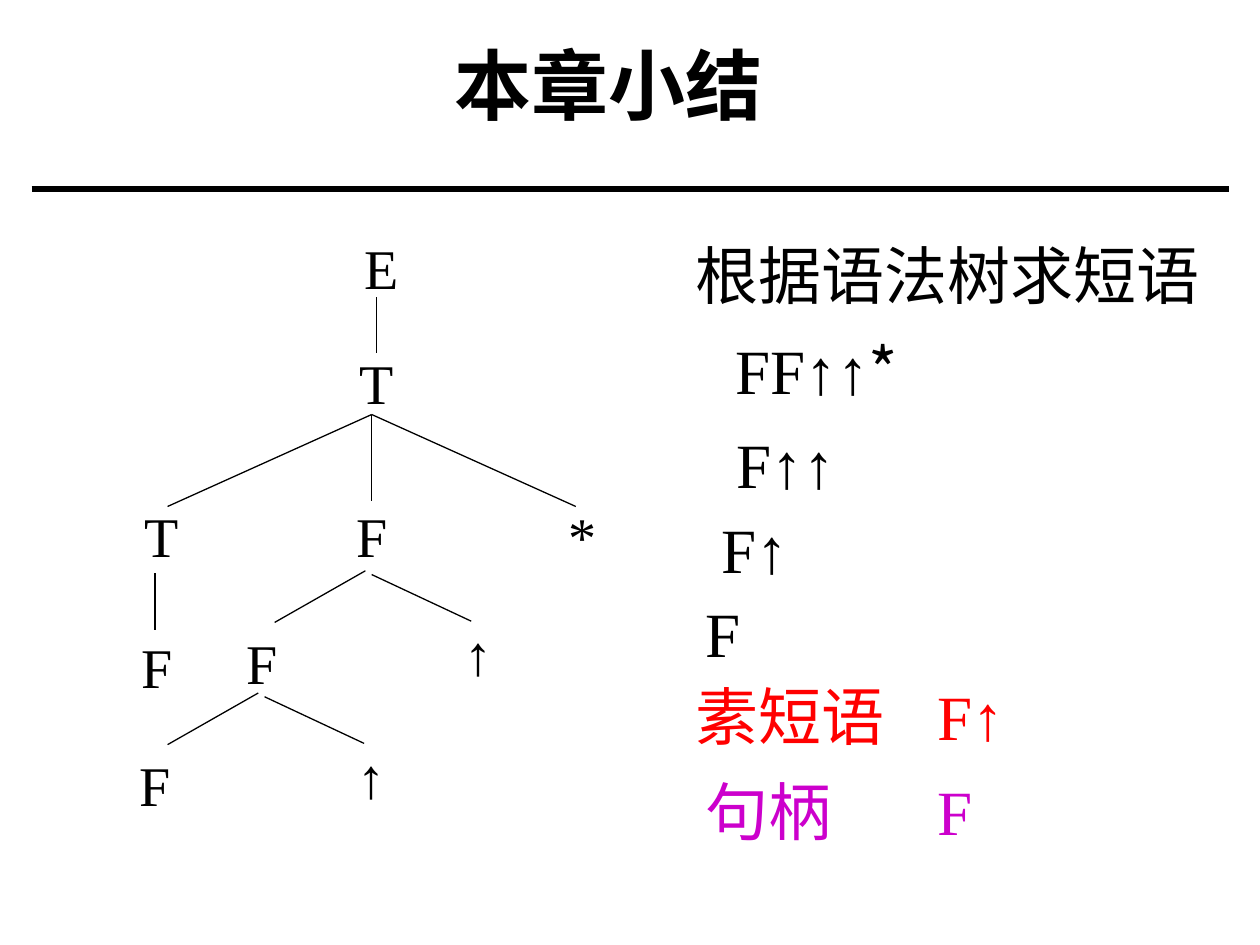
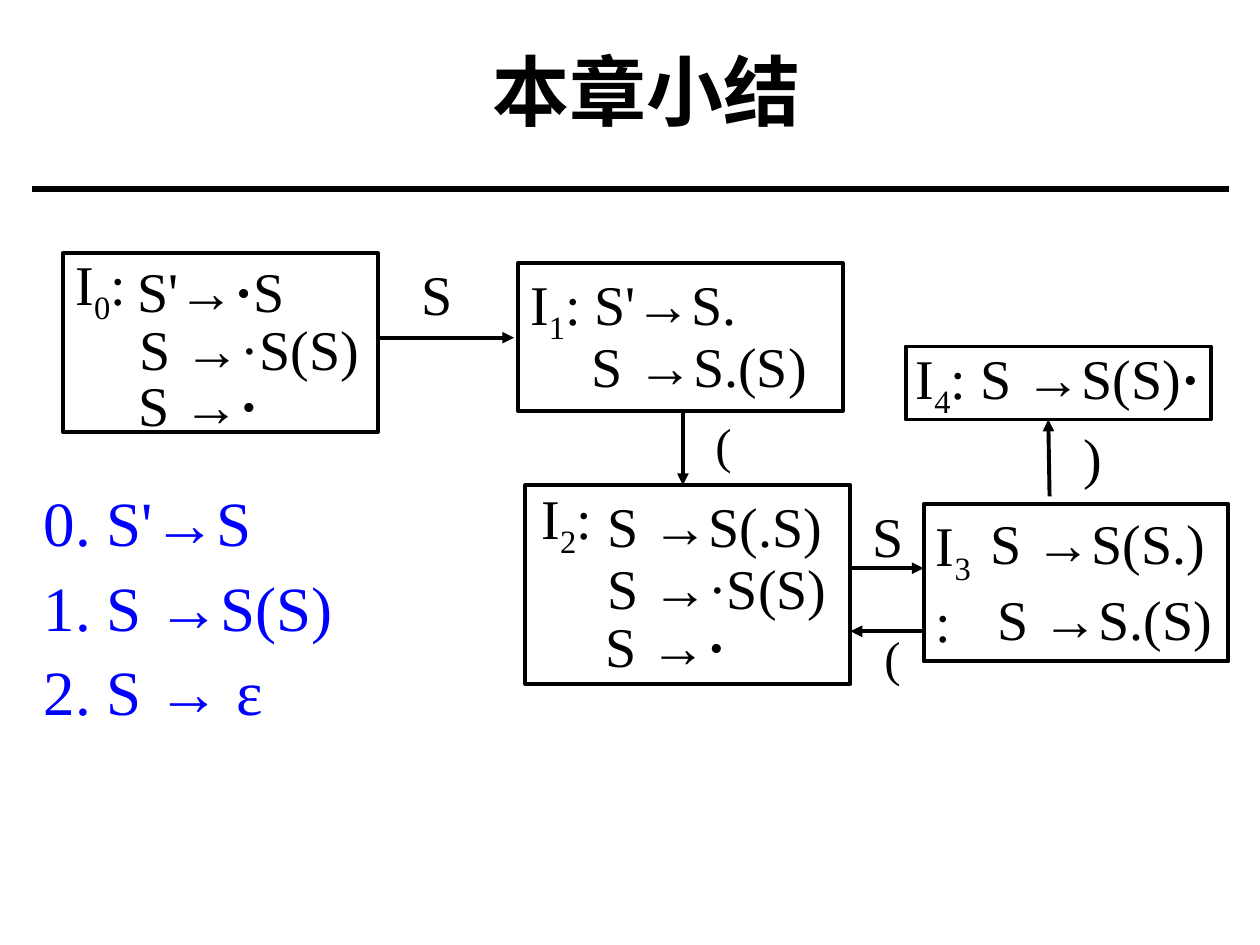
from lxml import etree
from pptx import Presentation
from pptx.dml.color import RGBColor
from pptx.enum import shapes, text
from pptx.oxml import ns
from pptx.util import Inches, Pt

BLACK = RGBColor(0x00, 0x00, 0x00)
RED = RGBColor(0xFF, 0x00, 0x00)
PURPLE = RGBColor(0xCC, 0x00, 0xCC)
BLUE = RGBColor(0x00, 0x00, 0xFF)
SERIF = "Times New Roman"
SANS = "Noto Sans CJK SC"
BOLD, SUBSCRIPT, SANS_RUN = "bold", "subscript", "sans"
BOLD_DOT = ("·", BOLD)
TITLE = "本章小结"


def style_paragraph(paragraph, size, color=BLACK, font=SERIF, bold=False):
    """Set the font that all runs of a paragraph share."""
    paragraph.font.size = Pt(size)
    paragraph.font.name = font
    paragraph.font.bold = bold
    paragraph.font.color.rgb = color


def add_fragments(paragraph, fragments):
    """Add plain strings and (text, kind) pairs as runs."""
    for fragment in fragments:
        words, kind = (fragment, None) if isinstance(fragment, str) else fragment
        run = paragraph.add_run()
        run.text = words
        if kind == BOLD:
            run.font.bold = True
        elif kind == SUBSCRIPT:
            run._r.get_or_add_rPr().set("baseline", "-25000")
        elif kind == SANS_RUN:
            run.font.name = SANS


def add_text(slide, left, top, width, fragments, size=32, color=BLACK,
             align=text.PP_ALIGN.LEFT, wrap=True):
    """Add a one-paragraph text box as high as one line of its size."""
    height = size * 1.2 / 72 + 0.1
    box = slide.shapes.add_textbox(Inches(left), Inches(top), Inches(width), Inches(height))
    box.text_frame.word_wrap = wrap
    paragraph = box.text_frame.paragraphs[0]
    paragraph.alignment = align
    add_fragments(paragraph, fragments)
    style_paragraph(paragraph, size, color)


def add_line(slide, start, end, width=0.75, arrow=False):
    """Draw a straight black line, with an arrowhead at its end if asked."""
    line = slide.shapes.add_connector(
        shapes.MSO_CONNECTOR.STRAIGHT, *(Inches(value) for value in (*start, *end)))
    line.line.color.rgb = BLACK
    line.line.width = Pt(width)
    if arrow:
        etree.SubElement(line.line._get_or_add_ln(), ns.qn("a:tailEnd"), type="triangle")
    etree.SubElement(line._element.spPr, ns.qn("a:effectLst"))


def add_titled_slide(presentation, left, top, width, height):
    """Add a slide with the chapter title in the given box and the rule below."""
    slide = presentation.slides.add_slide(presentation.slide_layouts[5])
    title = slide.shapes.title
    title.left, title.top = Inches(left), Inches(top)
    title.width, title.height = Inches(width), Inches(height)
    frame = title.text_frame
    frame.text = TITLE
    frame.auto_size = text.MSO_AUTO_SIZE.NONE
    frame.vertical_anchor = text.MSO_ANCHOR.MIDDLE
    paragraph = frame.paragraphs[0]
    paragraph.alignment = text.PP_ALIGN.CENTER
    style_paragraph(paragraph, 44, font=SANS, bold=True)
    add_line(slide, (0.25, 1.5), (9.75, 1.5), width=3)
    return slide


def draw_syntax_tree(slide, left, top):
    """Draw the syntax tree from its top left corner."""
    node_width = 1.2
    nodes = [(2.43, 0, "E"), (2.39, 0.92, "T"), (0.68, 2.13, "T"),
             (2.35, 2.13, "F"), (4.02, 2.13, "*"), (0.65, 3.17, "F")]
    branches = [(2.39, 0.56, 2.39, 1.0), (0.63, 2.75, 0.63, 3.2),
                (2.35, 1.49, 2.35, 2.18), (2.35, 1.49, 0.73, 2.22),
                (2.35, 1.49, 3.97, 2.22)]
    for x, y in [(2.3, 2.73), (1.45, 3.7)]:
        branches += [(x, y, x - 0.72, y + 0.41), (x + 0.05, y + 0.03, x + 0.84, y + 0.4)]
        nodes += [(x - 0.82, y + 0.41, "F"), (x + 0.9, y + 0.34, "↑")]
    for x1, y1, x2, y2 in branches:
        add_line(slide, (left + x1, top + y1), (left + x2, top + y2))
    for center, y, symbol in nodes:
        add_text(slide, left + center - node_width / 2, top + y, node_width, [symbol],
                 align=text.PP_ALIGN.CENTER, wrap=False)


def draw_phrases(slide, left, top):
    """List the phrases, the prime phrase and the handle."""
    entries = [
        (0, 0, 4.2, ["根据语法树求短语"], BLACK),
        (0.32, 0.75, 1.53, ["FF↑↑", ("*", SANS_RUN)], BLACK),
        (0.33, 1.5, 0.98, ["F↑↑"], BLACK),
        (0.21, 2.17, 0.73, ["F↑"], BLACK),
        (0.08, 2.84, 0.48, ["F"], BLACK),
        (0, 3.5, 1.7, ["素短语"], RED),
        (1.92, 3.5, 0.73, ["F↑"], RED),
        (0.08, 4.25, 1.2, ["句柄"], PURPLE),
        (1.92, 4.25, 0.48, ["F"], PURPLE),
    ]
    for x, y, width, fragments, color in entries:
        add_text(slide, left + x, top + y, width, fragments, 36, color, wrap=False)


def draw_state(slide, left, top, width, height, items):
    """Draw an item set: a frame with texts placed relative to its corner."""
    frame = slide.shapes.add_shape(
        shapes.MSO_SHAPE.RECTANGLE, Inches(left), Inches(top), Inches(width), Inches(height))
    frame.shadow.inherit = False
    frame.fill.background()
    frame.line.color.rgb = BLACK
    frame.line.width = Pt(2.25)
    for x, y, item_width, *fragments in items:
        add_text(slide, left + x, top + y, item_width, fragments)


def draw_automaton(slide, left, top):
    """Draw the item sets and the transitions between them."""
    def state_name(number):
        return "I", (number, SUBSCRIPT)

    states = [
        (0, 0, 2.5, 1.42, [
            (0, -0.08, 0.83, *state_name("0"), ":"),
            (0.49, -0.02, 1.93, "S'→", BOLD_DOT, "S"),
            (0.51, 0.44, 2.07, "S →·S(S)"),
            (0.5, 0.88, 1.49, "S →", BOLD_DOT)]),
        (3.61, 0.08, 2.58, 1.17, [
            (0, 0, 2.67, *state_name("1"), ": S'→S."),
            (0.49, 0.49, 2.17, "S →S.(S)")]),
        (3.67, 1.84, 2.58, 1.58, [
            (0.03, -0.06, 0.83, *state_name("2"), ":"),
            (0.55, 0, 2.17, "S →S(.S)"),
            (0.55, 0.49, 2.07, "S →·S(S)"),
            (0.54, 0.95, 1.49, "S →", BOLD_DOT)]),
        (6.83, 1.99, 2.42, 1.25, [
            (0, 0, 0.58, *state_name("3"), ":"),
            (0.43, -0.01, 2.17, "S →S(S.)"),
            (0.49, 0.59, 2.07, "S →S.(S)")]),
        (6.69, 0.74, 2.42, 0.58, [
            (-0.02, -0.07, 2.58, *state_name("4"), ": S →S(S)", BOLD_DOT)]),
    ]
    for x, y, width, height, items in states:
        draw_state(slide, left + x, top + y, width, height, items)
    transitions = [
        ((2.5, 0.67), (3.58, 0.67), "S", (2.75, 0), 0.5, 32),
        ((4.92, 1.25), (4.92, 1.84), "(", (5.08, 1.23), 0.5, 28),
        ((6.25, 2.5), (6.83, 2.5), "S", (6.33, 1.92), 0.58, 32),
        ((6.83, 3.0), (6.25, 3.0), "(", (6.42, 2.92), 0.35, 28),
        ((7.83, 1.93), (7.82, 1.32), ")", (8.0, 1.29), 0.5, 32),
    ]
    for start, end, symbol, (x, y), width, size in transitions:
        add_line(slide, (left + start[0], top + start[1]),
                 (left + end[0], top + end[1]), width=2.25, arrow=True)
        add_text(slide, left + x, top + y, width, [symbol], size)


def draw_grammar(slide, left, top, width, height):
    """List the productions, numbered automatically after the zeroth."""
    box = slide.shapes.add_textbox(Inches(left), Inches(top), Inches(width), Inches(height))
    frame = box.text_frame
    frame.word_wrap = True
    for index, production in enumerate(["0. S'→S", "S →S(S)", "S → ε"]):
        paragraph = frame.add_paragraph() if index else frame.paragraphs[0]
        paragraph.text = production
        paragraph.line_spacing = 0.6
        properties = paragraph._p.get_or_add_pPr()
        properties.set("marL", str(Inches(0.5)))
        properties.set("indent", str(-Inches(0.5)))
        if index:
            paragraph.space_before = Pt(22.5)
            bullet_color = etree.SubElement(properties, ns.qn("a:buClr"))
            etree.SubElement(bullet_color, ns.qn("a:srgbClr"), val=str(BLUE))
            etree.SubElement(properties, ns.qn("a:buFont"), typeface=SERIF)
            etree.SubElement(properties, ns.qn("a:buAutoNum"), type="arabicPeriod")
        style_paragraph(paragraph, 36, BLUE)


def main():
    """Build both summary slides."""
    presentation = Presentation()
    presentation.slide_width, presentation.slide_height = Inches(10), Inches(7.5)
    phrase_slide = add_titled_slide(presentation, 0.58, 0.25, 8.5, 0.83)
    draw_syntax_tree(phrase_slide, 0.6, 1.8)
    draw_phrases(phrase_slide, 5.42, 1.83)
    automaton_slide = add_titled_slide(presentation, 1.42, 0.25, 7.42, 0.92)
    draw_automaton(automaton_slide, 0.5, 2.01)
    draw_grammar(automaton_slide, 0.25, 4, 3.25, 1.81)
    presentation.save("out.pptx")


if __name__ == "__main__":
    main()
